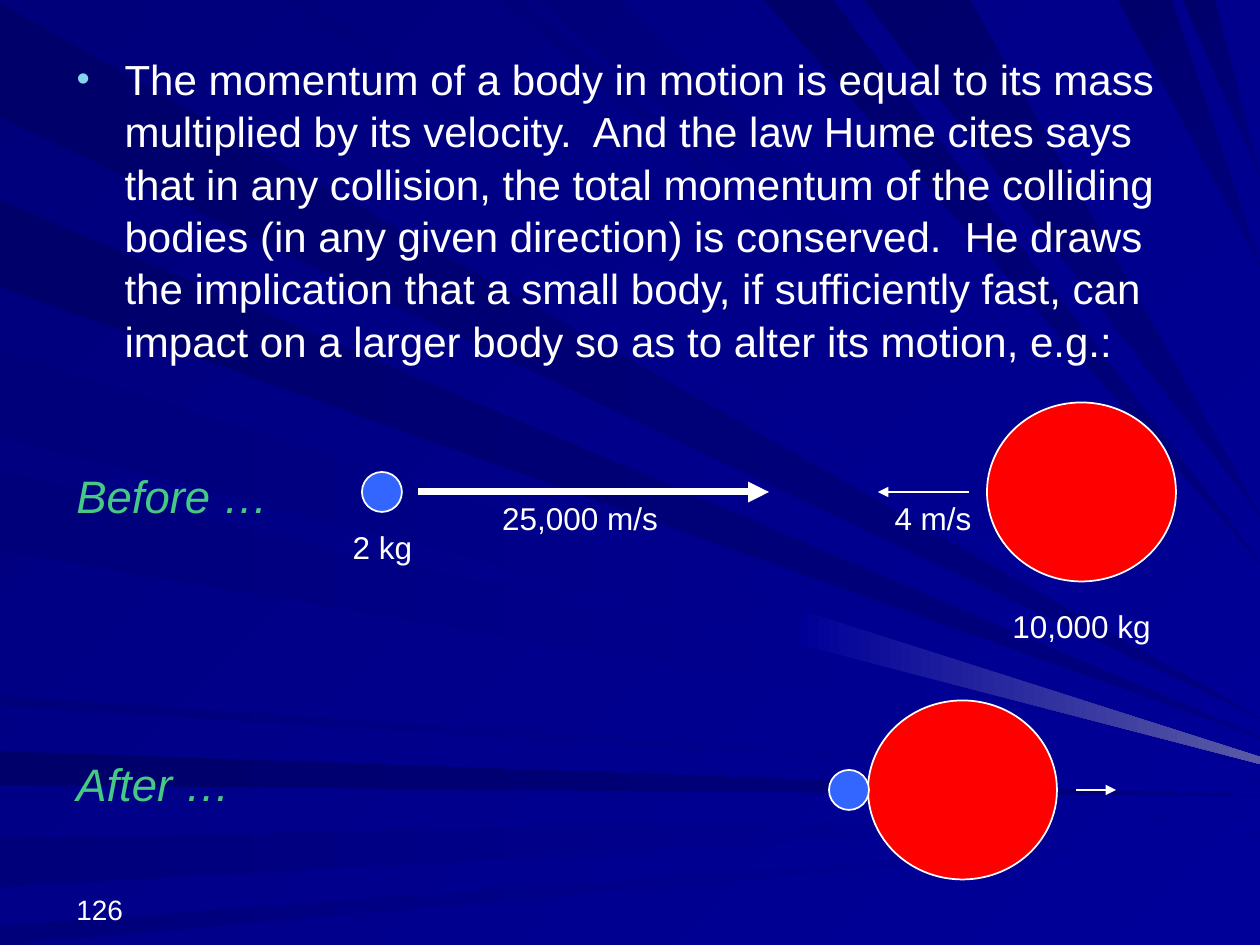
from lxml import etree
from pptx import Presentation
from pptx.dml.color import RGBColor
from pptx.enum import shapes, text
from pptx.oxml.ns import qn
from pptx.util import Pt

PX = 914400 / 126
WIDTH, HEIGHT = 1260, 945

NIGHT = RGBColor(0, 0, 0x6B)
DUSK = RGBColor(0, 0, 0x7B)
NAVY = RGBColor(0, 0, 0x80)
ROYAL = RGBColor(0, 0, 0x99)
HAZE = RGBColor(0x5A, 0x5A, 0xA6)
WHITE = RGBColor(0xFF, 0xFF, 0xFF)
RED = RGBColor(0xFF, 0, 0)
BALL_BLUE = RGBColor(0x33, 0x66, 0xFF)
GREEN = RGBColor(0x45, 0xC9, 0x84)
BULLET = RGBColor(0x86, 0xD1, 0xEC)

# Each ray narrows from a span of the left or top edge to a tip on the right edge
SHADOW, GLOW = (NIGHT, NAVY), (DUSK, ROYAL)
RAYS = [
    ("left", 3, 117, 718, SHADOW),
    ("top", 33, 127, 708, GLOW),
    ("left", 751, 785, 796, SHADOW),
    ("left", 838, 887, 815, GLOW),
    ("left", 926, 945, 834, GLOW),
    ("left", 200, 287, 737, SHADOW),
    ("top", 501, 524, 652, GLOW),
    ("top", 537, 620, 620, GLOW),
    ("top", 764, 833, 562, SHADOW),
    ("top", 1118, 1172, 265, SHADOW),
    ("top", 1183, 1215, 177, SHADOW),
    ("left", 350, 431, 755, GLOW),
    ("left", 471, 551, 763, GLOW),
    ("left", 696, 706, 783, GLOW),
    ("top", 284, 311, 692, GLOW),
    ("top", 864, 970, 515, SHADOW),
    ("left", 357, 437, 760, GLOW),
]
HAZE_RAY = [(803, 611), (798, 644), (WIDTH, 764), (WIDTH, 757)]

BODY = (
    "The momentum of a body in motion is equal to its mass multiplied by its velocity.  "
    "And the law Hume cites says that in any collision, the total momentum of the colliding "
    "bodies (in any given direction) is conserved.  He draws the implication that a small body, "
    "if sufficiently fast, can impact on a larger body so as to alter its motion, e.g.:"
)

MARGIN = 64
SMALL, LARGE = (40, 40, BALL_BLUE), (189, 179, RED)
BEFORE_Y, AFTER_Y = 492, 790
BALLS = [(362, BEFORE_Y, SMALL), (987, BEFORE_Y, LARGE),
         (868, AFTER_Y, LARGE), (829, AFTER_Y, SMALL)]
# from x, to x, y, points
ARROWS = [(422, 769, BEFORE_Y, 4), (968, 878, BEFORE_Y, 1), (1077, 1116, AFTER_Y, 1)]

LABELS = [("2 kg", 333, 522, 99), ("25,000 m/s", 481, 493, 198),
          ("4 m/s", 878, 493, 110), ("10,000 kg", 987, 601, 189)]
STAGES = [("Before …", 462), ("After …", 750)]


def px(*lengths):
    return [round(length * PX) for length in lengths]


def paint(fill, first, last, angle):
    """Fill with a gradient at a clockwise angle."""
    fill.gradient()
    fill.gradient_angle = -angle % 360
    for stop, colour in zip(fill.gradient_stops, (first, last)):
        stop.color.rgb = colour


def ray_corners(edge, start, end, tip):
    span = [(0, at) if edge == "left" else (at, 0) for at in (start, end)]
    return span + [(WIDTH, tip)]


def add_ray(page, corners, shades, angle):
    builder = page.shapes.build_freeform(*corners[0], scale=PX)
    builder.add_line_segments(corners[1:], close=True)
    ray = builder.convert_to_shape()
    ray.shadow.inherit = False
    ray.line.fill.background()
    paint(ray.fill, *shades, angle)


def add_ball(page, left, middle, kind):
    width, height, colour = kind
    place = px(left, middle - height / 2, width, height)
    ball = page.shapes.add_shape(shapes.MSO_SHAPE.OVAL, *place)
    ball.shadow.inherit = False
    ball.fill.solid()
    ball.fill.fore_color.rgb = colour
    ball.line.color.rgb = WHITE
    ball.line.width = Pt(1)


def add_arrow(page, start, end, y, weight):
    arrow = page.shapes.add_connector(shapes.MSO_CONNECTOR.STRAIGHT, *px(start, y, end, y))
    arrow.line.color.rgb = WHITE
    arrow.line.width = Pt(weight)
    line = arrow.line._get_or_add_ln()
    line.set("cap", "sq")
    etree.SubElement(line, qn("a:tailEnd"), type="triangle")
    etree.SubElement(arrow._element.spPr, qn("a:effectLst"))


def style(para, size, colour=WHITE):
    para.font.name = "Arial"
    para.font.size = Pt(size)
    para.font.color.rgb = colour


def add_text(page, words, left, top, width, height, size, colour=WHITE):
    box = page.shapes.add_textbox(*px(left, top, width, height))
    box.text_frame.word_wrap = True
    para = box.text_frame.paragraphs[0]
    para.text = words
    style(para, size, colour)
    return box.text_frame, para


def fill_body(page, body):
    page.shapes._spTree.append(body._element)  # in front of the rays
    body.left, body.top, body.width, body.height = px(MARGIN, 45, 1134, 848)
    body.text_frame.auto_size = text.MSO_AUTO_SIZE.NONE
    para = body.text_frame.paragraphs[0]
    para.text = BODY
    style(para, 24)
    para.line_spacing = 1.04
    para.space_before = Pt(2)
    props = para._p.get_or_add_pPr()
    indent = px(48)[0]
    props.set("marL", str(indent))
    props.set("indent", str(-indent))
    colour = etree.SubElement(props, qn("a:buClr"))
    etree.SubElement(colour, qn("a:srgbClr"), val=str(BULLET))
    etree.SubElement(props, qn("a:buSzPct"), val="90000")
    etree.SubElement(props, qn("a:buFont"), typeface="Arial")
    etree.SubElement(props, qn("a:buChar"), char="•")
    for defaults in props.findall(qn("a:defRPr")):
        props.append(defaults)  # the schema wants it after the bullet


def main():
    deck = Presentation()
    deck.slide_width, deck.slide_height = px(WIDTH, HEIGHT)
    page = deck.slides.add_slide(deck.slide_layouts[1])
    title = page.shapes.title._element
    title.getparent().remove(title)
    body = page.placeholders[1]

    paint(page.background.fill, DUSK, ROYAL, 45)
    for edge, start, end, tip, shades in RAYS:
        angle = 0 if edge == "left" else 45
        add_ray(page, ray_corners(edge, start, end, tip), shades, angle)
    add_ray(page, HAZE_RAY, (ROYAL, HAZE), 0)

    frame, _ = add_text(page, "126", MARGIN, 869, 294, 63, 16)
    frame.vertical_anchor = text.MSO_ANCHOR.BOTTOM
    fill_body(page, body)

    for ball in BALLS:
        add_ball(page, *ball)
    for arrow in ARROWS:
        add_arrow(page, *arrow)
    for words, left, top, width in LABELS:
        _, para = add_text(page, words, left, top, width, 50, 18)
        para.alignment = text.PP_ALIGN.CENTER
    for words, top in STAGES:
        _, para = add_text(page, words, MARGIN, top, 238, 67, 26, GREEN)
        para.font.italic = True
    deck.save("out.pptx")


if __name__ == "__main__":
    main()
